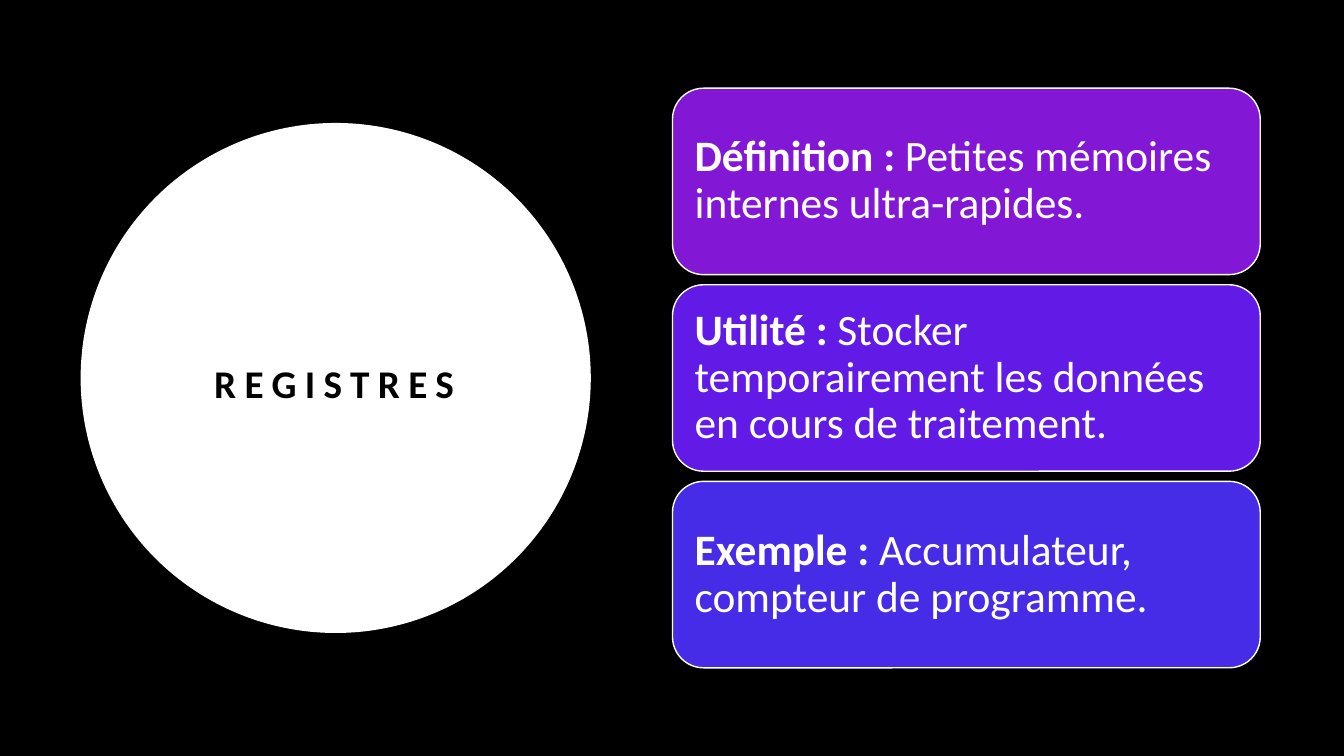
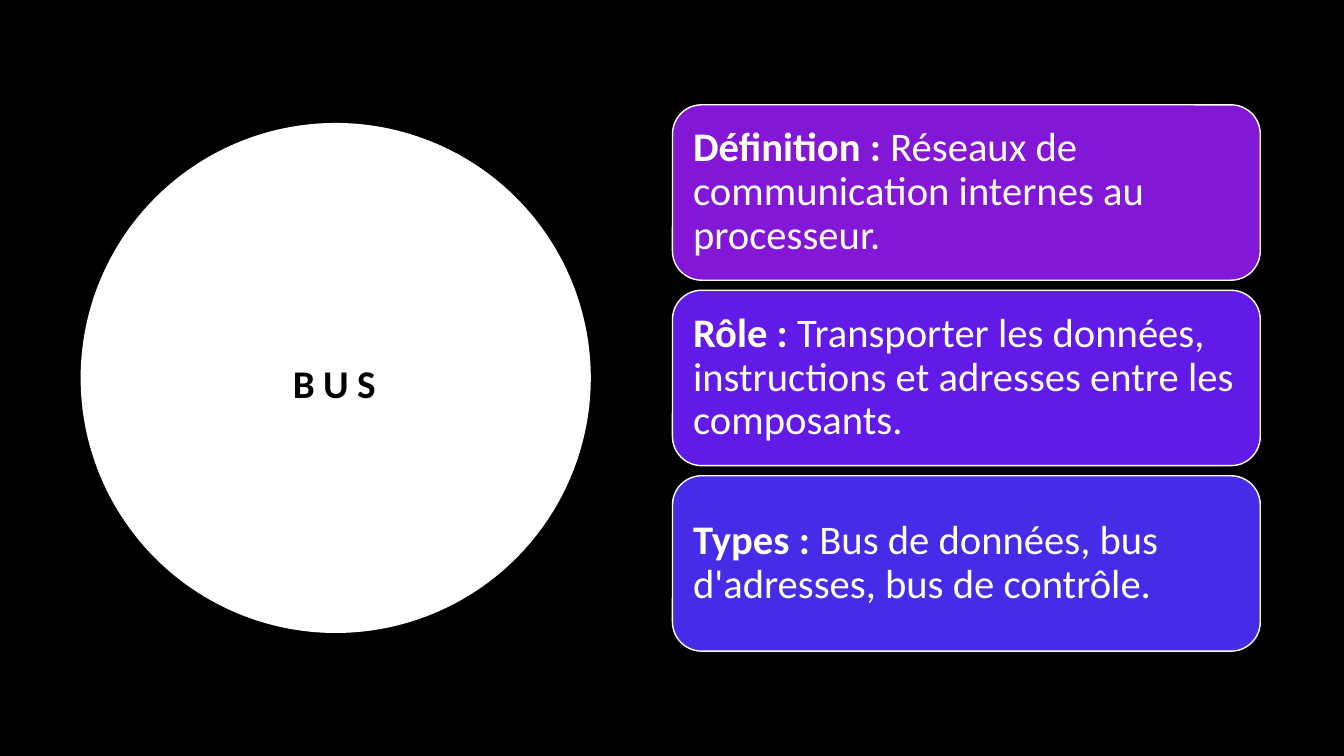
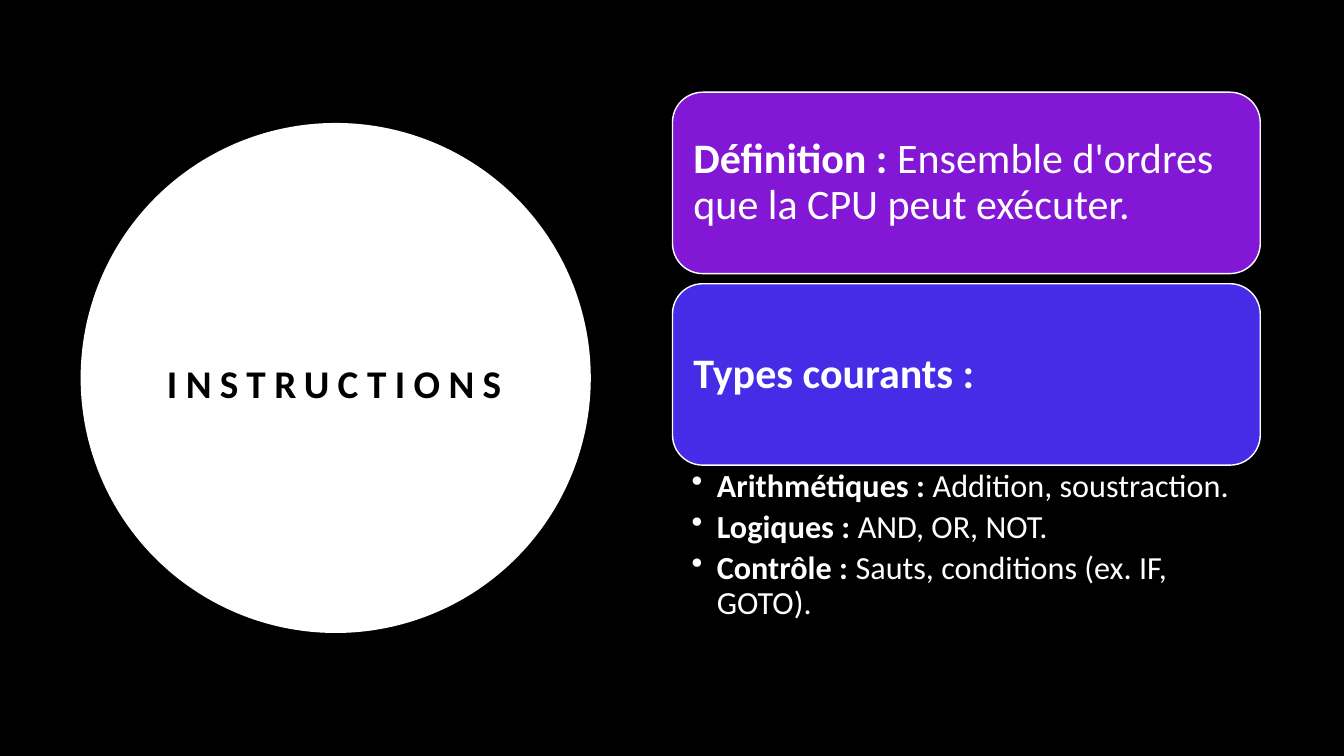
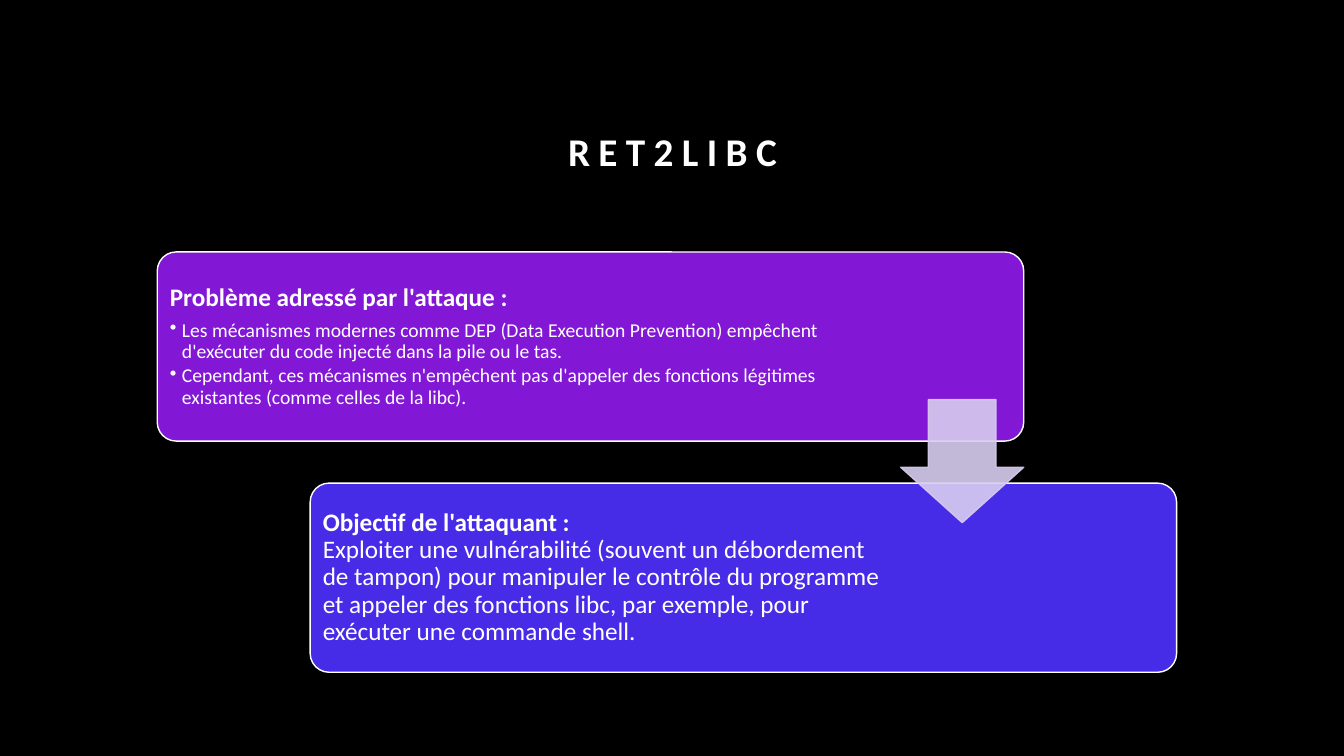
from pptx import Presentation
from pptx.dml.color import RGBColor
from pptx.enum.shapes import MSO_SHAPE as Preset
from pptx.enum.text import MSO_ANCHOR as Anchor, MSO_AUTO_SIZE as AutoSize, PP_ALIGN as Align
from pptx.oxml.ns import qn
from pptx.util import Inches, Pt
from lxml.etree import SubElement

BLACK, WHITE = "000000", "FFFFFF"
PURPLE, VIOLET, INDIGO, LAVENDER = "8217D5", "621AE6", "472CE7", "D8CCEF"
FONT = "Calibri"
WIDTH, HEIGHT = 13.33, 7.5
CARD_GAP = 0.1
CIRCLE = (0.8, 1.22, 5.06, 5.06)
CIRCLE_TITLE = (1.32, 2.5, 3.99, 2.5)
STACK_LEFT, STACK_WIDTH = 6.67, 5.83

TOPICS = [
    dict(title="REGISTRES", card_height=1.85, size=31, cards=[
        ("Définition :", " Petites mémoires internes ultra-rapides.", PURPLE),
        ("Utilité :", " Stocker temporairement les données en cours de traitement.", VIOLET),
        ("Exemple :", " Accumulateur, compteur de programme.", INDIGO)]),
    dict(title="BUS", card_height=1.74, size=29, cards=[
        ("Définition :", " Réseaux de communication internes au processeur.", PURPLE),
        ("Rôle :", " Transporter les données, instructions et adresses entre les composants.", VIOLET),
        ("Types :", " Bus de données, bus d'adresses, bus de contrôle.", INDIGO)]),
    dict(title="INSTRUCTIONS", card_height=1.8, size=30, cards=[
        ("Définition :", " Ensemble d'ordres que la CPU peut exécuter.", PURPLE),
        ("Types courants :", "", INDIGO)],
        bullets=[
            ("Arithmétiques :", " Addition, soustraction."),
            ("Logiques :", " AND, OR, NOT."),
            ("Contrôle :", " Sauts, conditions (ex. IF, GOTO).")]),
]


def rgb(value):
    """Turn a hex string into a colour."""
    return RGBColor.from_string(value)


def inches(box):
    """Turn left, top, width and height into lengths."""
    return [Inches(value) for value in box]


def add_text(frame, text, lead="", size=18, color=WHITE, bold=False, align=Align.LEFT,
             line_spacing=0.9, after=0.35, indent=None, tracking=None):
    """Write one paragraph, with an optional bold lead-in, into a text frame."""
    first = frame.paragraphs[0]
    paragraph = frame.add_paragraph() if first.runs else first
    if indent:
        properties = paragraph._p.get_or_add_pPr()
        properties.set("marL", str(Inches(indent)))
        properties.set("indent", str(-Inches(indent)))
        SubElement(properties, qn("a:buChar")).set("char", "•")
    paragraph.alignment = align
    paragraph.line_spacing = line_spacing
    paragraph.space_after = Pt(round(size * after, 1))
    for words, is_bold in ((lead, True), (text, bold)):
        if not words:
            continue
        if words.startswith("\n"):
            paragraph.add_line_break()
        run = paragraph.add_run()
        run.text = words.lstrip("\n")
        run.font.name, run.font.size, run.font.bold = FONT, Pt(size), is_bold
        run.font.color.rgb = rgb(color)
        if tracking:
            run._r.get_or_add_rPr().set("spc", str(tracking * 100))


def set_frame(frame, anchor, insets):
    """Set wrapping, anchor and the left, top, right and bottom insets."""
    frame.word_wrap = True
    frame.auto_size = AutoSize.NONE
    frame.vertical_anchor = anchor
    (frame.margin_left, frame.margin_top,
     frame.margin_right, frame.margin_bottom) = inches(insets)


def add_shape(slide, preset, box, fill, line=None, adjustments=(), opacity=None):
    """Draw a preset shape with a flat fill and an optional thin line."""
    shape = slide.shapes.add_shape(preset, *inches(box))
    shape.shadow.inherit = False
    for index, value in enumerate(adjustments):
        shape.adjustments[index] = value
    shape.fill.solid()
    shape.fill.fore_color.rgb = rgb(fill)
    if line:
        shape.line.color.rgb = rgb(line)
        shape.line.width = Pt(1)
    else:
        shape.line.fill.background()
    if opacity:
        for color in shape.element.spPr.iter(qn("a:srgbClr")):
            SubElement(color, qn("a:alpha")).set("val", str(opacity * 1000))
    return shape


def add_slide(presentation, title, box, color=WHITE, anchor=Anchor.MIDDLE):
    """Add a title-only slide with a spaced, centred title."""
    slide = presentation.slides.add_slide(presentation.slide_layouts[5])
    shape = slide.shapes.title
    shape.left, shape.top, shape.width, shape.height = inches(box)
    set_frame(shape.text_frame, anchor, (0.1, 0.05, 0.1, 0.05))
    add_text(shape.text_frame, title, size=28, color=color, bold=True, align=Align.CENTER,
             line_spacing=1.2, after=0, tracking=6)
    return slide


def add_card(slide, box, fill, size, extra_right=0, adjustments=()):
    """Draw a rounded card and return its text frame."""
    card = add_shape(slide, Preset.ROUNDED_RECTANGLE, box, fill, WHITE, adjustments)
    inset = round(size * 0.3 / 72, 2)
    set_frame(card.text_frame, Anchor.MIDDLE, (inset, inset, inset + extra_right, inset))
    return card.text_frame


def add_bullets(slide, box, bullets):
    """Place a bulleted list with bold lead-ins."""
    frame = slide.shapes.add_textbox(*inches(box)).text_frame
    set_frame(frame, Anchor.TOP, (0.19, 0.04, 0.23, 0.04))
    for lead, text in bullets:
        add_text(frame, text, lead=lead, size=23, after=0.2, indent=0.25)


def add_card_stack(slide, left, middle, width, cards, card_height, size, bullets=()):
    """Stack cards, and an optional list, centred on a height."""
    list_height = 1.97 if bullets else 0
    pitch = card_height + CARD_GAP
    top = middle - (len(cards) * pitch - CARD_GAP + list_height) / 2
    for index, (lead, text, fill) in enumerate(cards):
        box = (left, top + index * pitch, width, card_height)
        add_text(add_card(slide, box, fill, size), text, lead=lead, size=size)
    if bullets:
        list_top = top + len(cards) * pitch - CARD_GAP
        add_bullets(slide, (left, list_top, width, list_height), bullets)


def add_topic_slide(presentation, title, **stack):
    """Build a slide with its title in a circle beside a stack of cards."""
    slide = add_slide(presentation, title, CIRCLE_TITLE, BLACK)
    circle = add_shape(slide, Preset.OVAL, CIRCLE, WHITE)
    slide.shapes.title.element.addprevious(circle.element)
    add_card_stack(slide, STACK_LEFT, HEIGHT / 2, STACK_WIDTH, **stack)


def add_steps(slide, left, top, width, height):
    """Place two staggered cards joined by a block arrow."""
    card_width, card_height = width * 0.85, height * 0.45
    problem_box = (left, top, card_width, card_height)
    goal_box = (left + width - card_width, top + height - card_height, card_width, card_height)
    problem = add_card(slide, problem_box, PURPLE, 18, 1.83, (0.1,))
    add_text(problem, "Problème adressé par l'attaque :", bold=True)
    for text in (
            "Les mécanismes modernes comme DEP (Data Execution Prevention) empêchent "
            "d'exécuter du code injecté dans la pile ou le tas.",
            "Cependant, ces mécanismes n'empêchent pas d'appeler des fonctions légitimes "
            "existantes (comme celles de la libc)."):
        add_text(problem, text, size=14, after=0.15, indent=0.12)
    goal = add_card(slide, goal_box, INDIGO, 18, 2.74, (0.1,))
    add_text(goal, "\nExploiter une vulnérabilité (souvent un débordement de tampon) pour manipuler "
             "le contrôle du programme et appeler des fonctions libc, par exemple, pour exécuter "
             "une commande shell.", lead="Objectif de l'attaquant :")
    side = 1.22
    arrow_box = (left + card_width - side, top + (height - side) / 2 - 0.01, side, side)
    add_shape(slide, Preset.DOWN_ARROW, arrow_box, LAVENDER, LAVENDER, (0.55, 0.45), opacity=90)


def add_attack_slide(presentation):
    """Build the slide on the attack's problem and goal."""
    slide = add_slide(presentation, "RET2LIBC", (1.67, 0.83, 10, 0.95), anchor=Anchor.BOTTOM)
    add_steps(slide, 1.56, 2.5, 10.11, 4.17)


def main():
    """Build and save the presentation."""
    presentation = Presentation()
    presentation.slide_width, presentation.slide_height = Inches(WIDTH), Inches(HEIGHT)
    background = presentation.slide_master.background.fill
    background.solid()
    background.fore_color.rgb = rgb(BLACK)
    for topic in TOPICS:
        add_topic_slide(presentation, **topic)
    add_attack_slide(presentation)
    presentation.save("out.pptx")


if __name__ == "__main__":
    main()
